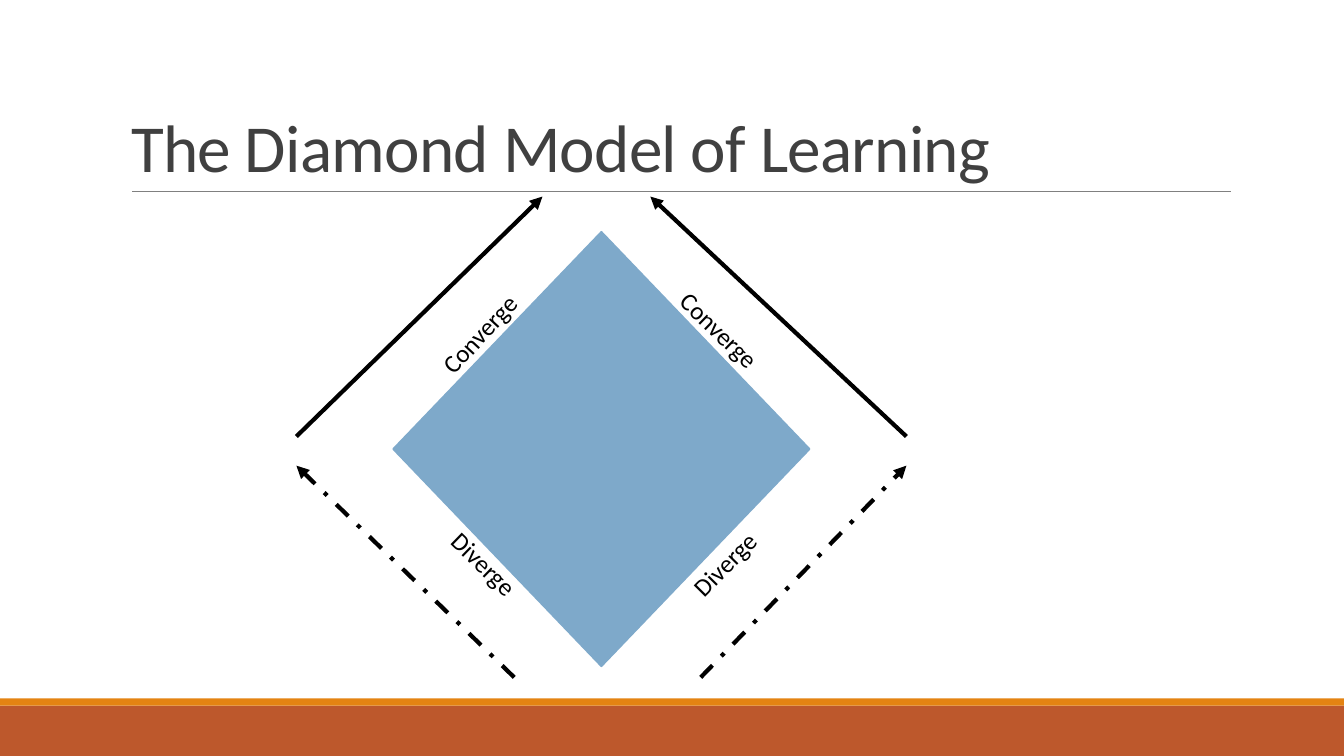
from lxml.etree import SubElement
from pptx import Presentation
from pptx.dml.color import RGBColor
from pptx.enum.dml import MSO_LINE
from pptx.enum.shapes import MSO_CONNECTOR, MSO_SHAPE
from pptx.enum.text import MSO_ANCHOR, MSO_AUTO_SIZE, PP_ALIGN
from pptx.oxml.ns import qn
from pptx.util import Inches, Pt

COLORS = {
    "rust": "BD582C",
    "orange": "E48312",
    "rule": "808080",
    "title": "404040",
    "diamond": "7EA9CA",
    "black": "000000",
}
TITLE_FONT = {"name": "Calibri", "size": Pt(48), "bold": False}
LABEL_FONT = {"name": "Calibri", "size": Pt(18)}

prs = Presentation()
prs.slide_width, prs.slide_height = Inches(13.33), Inches(7.5)
s = prs.slides.add_slide(prs.slide_layouts[5])


def add_line(start, end, color, width):
    ends = [Inches(v) for v in (*start, *end)]
    line = s.shapes.add_connector(MSO_CONNECTOR.STRAIGHT, *ends)
    line.line.color.rgb = RGBColor.from_string(COLORS[color])
    line.line.width = Pt(width)
    SubElement(line._element.spPr, qn("a:effectLst"))
    return line


def add_run(p, text, font, color):
    r = p.add_run()
    r.text = text
    for name, value in font.items():
        setattr(r.font, name, value)
    r.font.color.rgb = RGBColor.from_string(COLORS[color])
    return r


for kind, box, color in [
    (MSO_SHAPE.RECTANGLE, (0, 7, 13.33, 0.5), "rust"),
    (MSO_SHAPE.RECTANGLE, (0, 6.93, 13.33, 0.07), "orange"),
    (MSO_SHAPE.DIAMOND, (3.9, 2.3, 4.13, 4.31), "diamond"),
]:
    sp = s.shapes.add_shape(kind, *[Inches(v) for v in box])
    sp.shadow.inherit = False
    sp.fill.solid()
    sp.fill.fore_color.rgb = RGBColor.from_string(COLORS[color])
    sp.line.fill.background()

sp.line.color.rgb = RGBColor.from_string(COLORS["diamond"])
sp.line.width = Pt(1.25)

add_line((1.31, 1.9), (12.21, 1.9), "rule", 0.5)

title = s.shapes.title
title.left, title.top, title.width, title.height = [
    Inches(v) for v in (1.2, 0.31, 11, 1.59)
]
tf = title.text_frame
for name, value in {
    "vertical_anchor": MSO_ANCHOR.BOTTOM,
    "word_wrap": True,
    "auto_size": MSO_AUTO_SIZE.NONE,
}.items():
    setattr(tf, name, value)
p = tf.paragraphs[0]
p.alignment = PP_ALIGN.LEFT
p.line_spacing = 0.85
r = add_run(p, "The Diamond Model of Learning", TITLE_FONT, "title")
r.font._element.set("spc", "-50")

for text, left, top, angle in [
    ("Diverge", 4.25, 5.56, 44.1),
    ("Diverge", 6.63, 5.22, 314.7),
    ("Converge", 4.13, 3, 312.9),
    ("Converge", 6.52, 3.18, 44.1),
]:
    label = s.shapes.add_textbox(Inches(left), Inches(top), Inches(1.45), Inches(0.4))
    label.rotation = angle
    tf = label.text_frame
    tf.word_wrap = True
    tf.auto_size = MSO_AUTO_SIZE.SHAPE_TO_FIT_TEXT
    add_run(tf.paragraphs[0], text, LABEL_FONT, "black")

for start, end, dash in [
    ((5.1, 6.72), (2.94, 4.62), MSO_LINE.DASH_DOT),
    ((6.95, 6.72), (8.99, 4.62), MSO_LINE.DASH_DOT),
    ((2.94, 4.33), (5.38, 1.95), MSO_LINE.SOLID),
    ((8.99, 4.33), (6.45, 1.95), MSO_LINE.SOLID),
]:
    arrow = add_line(start, end, "black", 3)
    arrow.line.dash_style = dash
    SubElement(arrow.line._get_or_add_ln(), qn("a:tailEnd"), type="triangle")

prs.save("out.pptx")
